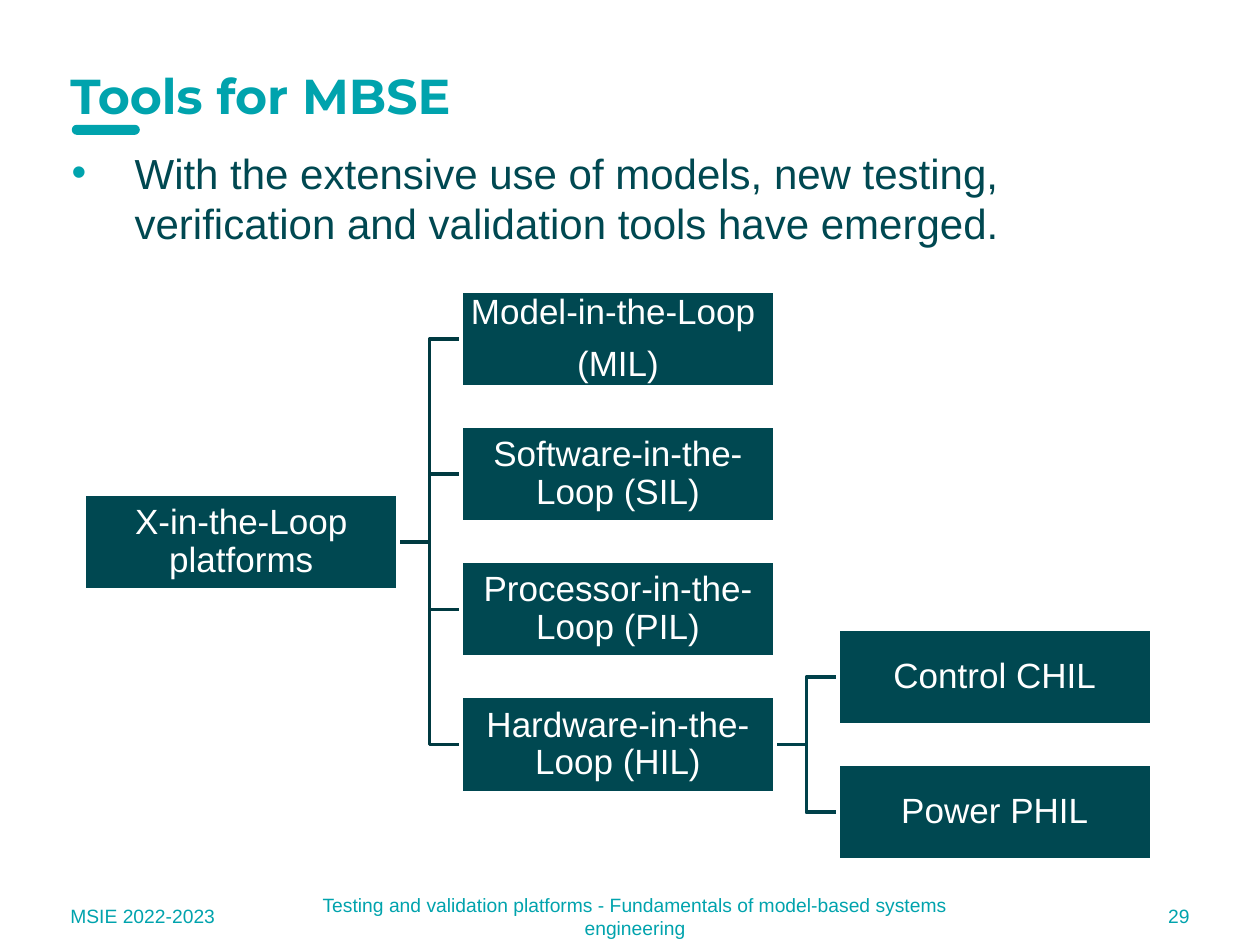
import pptx
import pptx.util
import pptx.dml.color
import pptx.enum.shapes
import pptx.enum.text
import pptx.oxml
import pptx.oxml.ns

Inches, Pt = pptx.util.Inches, pptx.util.Pt
RGBColor = pptx.dml.color.RGBColor
SHAPE = pptx.enum.shapes.MSO_SHAPE
ALIGN = pptx.enum.text.PP_ALIGN
ANCHOR = pptx.enum.text.MSO_ANCHOR

TEAL = RGBColor(0x00, 0xA3, 0xAD)
DARK = RGBColor(0x00, 0x48, 0x51)
WHITE = RGBColor(0xFF, 0xFF, 0xFF)
LINK_COLORS = [RGBColor(0x00, 0x3A, 0x41), RGBColor(0x00, 0x41, 0x4A)]

TITLE = "Tools for MBSE"
BODY = "With the extensive use of models, new testing, verification and validation tools have emerged."
FOOTERS = [
    ("MSIE 2022-2023", 0.46, 1.4, ALIGN.LEFT),
    ("Testing and validation platforms - Fundamentals of model-based systems engineering",
     2.1, 5.88, ALIGN.CENTER),
    ("29", 8.32, 1.22, ALIGN.RIGHT),
]
NODES = {
    "X": ("X-in-the-Loop platforms", 0, 3),
    "MIL": ("Model-in-the-Loop \n(MIL)", 1, 0),
    "SIL": ("Software-in-the-Loop (SIL)", 1, 2),
    "PIL": ("Processor-in-the-Loop (PIL)", 1, 4),
    "HIL": ("Hardware-in-the-Loop (HIL)", 1, 6),
    "CHIL": ("Control CHIL", 2, 5),
    "PHIL": ("Power PHIL", 2, 7),
}
LINKS = [("HIL", "PHIL"), ("HIL", "CHIL"),
         ("X", "HIL"), ("X", "PIL"), ("X", "SIL"), ("X", "MIL")]

TREE_LEFT, FIRST_CENTER = 0.67, 2.69
BOX_W, BOX_H = 2.49, 0.76
COL_GAP = 0.5
HALF_ROW = (5.91 - FIRST_CENTER) / 6


def style(p, size, color, font="Arial", bold=False, align=ALIGN.LEFT):
    p.alignment = align
    for r in p.runs:
        r.font.name, r.font.size, r.font.bold = font, Pt(size), bold
        r.font.color.rgb = color


def add_text(s, text, x, y, w, h, anchor=ANCHOR.MIDDLE):
    tf = s.shapes.add_textbox(Inches(x), Inches(y), Inches(w), Inches(h)).text_frame
    tf.word_wrap = True
    tf.vertical_anchor = anchor
    tf.text = text
    return tf.paragraphs[0]


def add_bullet(p, indent, color):
    pPr = p._p.get_or_add_pPr()
    pPr.set("marL", str(Inches(indent)))
    pPr.set("indent", str(-Inches(indent)))
    ns = pptx.oxml.ns.nsdecls("a")
    for xml in (f'<a:buClr {ns}><a:srgbClr val="{color}"/></a:buClr>',
                f'<a:buFont {ns} typeface="Arial"/>',
                f'<a:buChar {ns} char="•"/>'):
        pPr.append(pptx.oxml.parse_xml(xml))


def position(key):
    text, col, row = NODES[key]
    return TREE_LEFT + col * (BOX_W + COL_GAP), FIRST_CENTER + row * HALF_ROW


def add_link(s, parent, child):
    x, y = position(parent)
    end_x, end_y = position(child)
    start_x = x + BOX_W
    mid_x = (start_x + end_x) / 2
    builder = s.shapes.build_freeform(Inches(start_x), Inches(y))
    builder.add_line_segments(
        [(Inches(a), Inches(b)) for a, b in ((mid_x, y), (mid_x, end_y), (end_x, end_y))],
        close=False)
    sp = builder.convert_to_shape()
    sp.shadow.inherit = False
    sp.fill.background()
    sp.line.color.rgb = LINK_COLORS[NODES[parent][1]]
    sp.line.width = Pt(2)


def add_node(s, key):
    x, y = position(key)
    sp = s.shapes.add_shape(SHAPE.RECTANGLE, Inches(x), Inches(y - BOX_H / 2),
                            Inches(BOX_W), Inches(BOX_H))
    sp.shadow.inherit = False
    sp.fill.solid()
    sp.fill.fore_color.rgb = DARK
    sp.line.color.rgb = WHITE
    sp.line.width = Pt(2)
    tf = sp.text_frame
    tf.margin_left = tf.margin_right = tf.margin_top = tf.margin_bottom = Inches(0.01)
    tf.word_wrap = True
    tf.vertical_anchor = ANCHOR.MIDDLE
    tf.text = NODES[key][0]
    for p in tf.paragraphs:
        p.line_spacing = 0.9
        p.space_after = Pt(8)
        style(p, 20, WHITE, align=ALIGN.CENTER)


def main():
    prs = pptx.Presentation()
    prs.slide_width, prs.slide_height = Inches(10), Inches(7.5)
    s = prs.slides.add_slide(prs.slide_layouts[6])

    bar = s.shapes.add_shape(SHAPE.ROUNDED_RECTANGLE, Inches(0.57), Inches(0.99),
                             Inches(0.54), Inches(0.08))
    bar.adjustments[0] = 0.5
    bar.shadow.inherit = False
    bar.fill.solid()
    bar.fill.fore_color.rgb = TEAL
    bar.line.fill.background()

    for text, x, w, align in FOOTERS:
        style(add_text(s, text, x, 7.07, w, 0.4), 11, TEAL, align=align)
    style(add_text(s, TITLE, 0.46, 0.52, 8.38, 0.47), 28, TEAL, "Montserrat", True)
    p = add_text(s, BODY, 0.47, 1.12, 9.08, 5.26, ANCHOR.TOP)
    add_bullet(p, 0.5, TEAL)
    style(p, 24, DARK)

    for parent, child in LINKS:
        add_link(s, parent, child)
    for key in NODES:
        add_node(s, key)
    prs.save("out.pptx")


if __name__ == "__main__":
    main()
